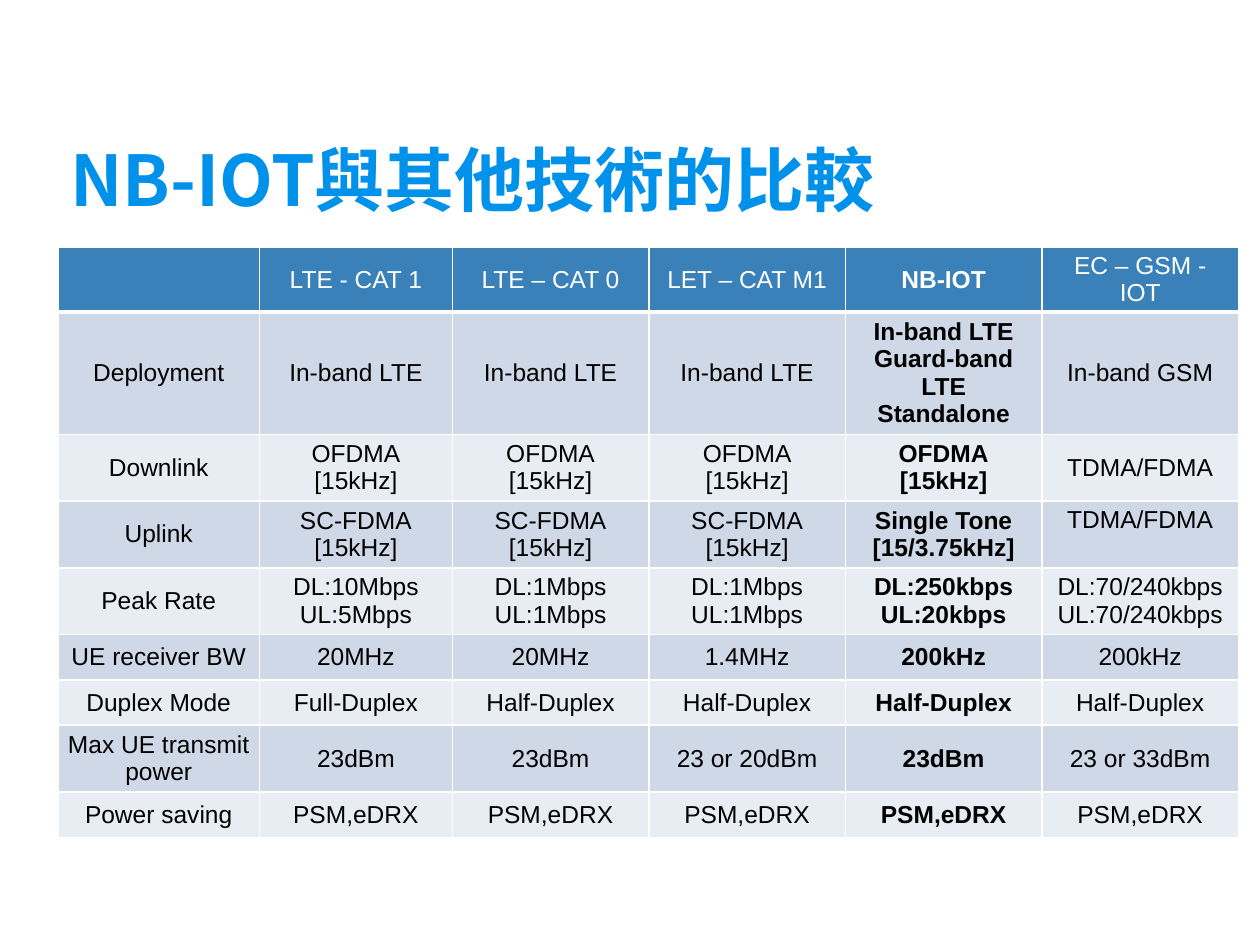
from lxml import etree
from pptx import Presentation
from pptx.dml.color import RGBColor
from pptx.enum.text import MSO_ANCHOR, MSO_AUTO_SIZE, PP_ALIGN
from pptx.oxml.ns import qn
from pptx.util import Inches, Pt

LEFT, CENTER = PP_ALIGN.LEFT, PP_ALIGN.CENTER
TOP, MIDDLE, BOTTOM = MSO_ANCHOR.TOP, MSO_ANCHOR.MIDDLE, MSO_ANCHOR.BOTTOM
NO_FIT = MSO_AUTO_SIZE.NONE

WHITE = RGBColor(0xFF, 0xFF, 0xFF)
BLACK = RGBColor(0x00, 0x00, 0x00)
TITLE_BLUE = RGBColor(0x00, 0x91, 0xEA)
HEADER_BLUE = RGBColor(0x3A, 0x81, 0xBA)
BANDS = (RGBColor(0xE8, 0xED, 0xF3), RGBColor(0xCE, 0xD8, 0xE7))

TITLE_FONT = "Noto Sans CJK SC"
TABLE_FONT = "Arial"
COL_WIDTHS = (1.6, 1.53, 1.56, 1.56, 1.56, 1.56)
ROW_HEIGHTS = (0.36, 0.97, 0.53, 0.53, 0.53, 0.36, 0.36, 0.53, 0.36)
NB_IOT_COL = 4
TOP_CELL = (3, 5)

ROWS = (
    ("", "LTE - CAT 1", "LTE – CAT 0", "LET – CAT M1", "NB-IOT", "EC – GSM - IOT"),
    ("Deployment", "In-band LTE", "In-band LTE", "In-band LTE",
     "In-band LTE\nGuard-band LTE\nStandalone", "In-band GSM"),
    ("Downlink", "OFDMA\n[15kHz]", "OFDMA\n[15kHz]", "OFDMA\n[15kHz]",
     "OFDMA\n[15kHz]", "TDMA/FDMA"),
    ("Uplink", "SC-FDMA\n[15kHz]", "SC-FDMA\n[15kHz]", "SC-FDMA\n[15kHz]",
     "Single Tone\n[15/3.75kHz]", "TDMA/FDMA"),
    ("Peak Rate", "DL:10Mbps\nUL:5Mbps", "DL:1Mbps\nUL:1Mbps", "DL:1Mbps\nUL:1Mbps",
     "DL:250kbps\nUL:20kbps", "DL:70/240kbps\nUL:70/240kbps"),
    ("UE receiver BW", "20MHz", "20MHz", "1.4MHz", "200kHz", "200kHz"),
    ("Duplex Mode", "Full-Duplex", "Half-Duplex", "Half-Duplex", "Half-Duplex",
     "Half-Duplex"),
    ("Max UE transmit power", "23dBm", "23dBm", "23 or 20dBm", "23dBm", "23 or 33dBm"),
    ("Power saving",) + ("PSM,eDRX",) * 5,
)


def add_run(p, text, font, size, color, bold):
    """Append one formatted run to a paragraph."""
    r = p.add_run()
    r.text = text
    r.font.name = font
    r.font.size = Pt(size)
    r.font.color.rgb = color
    r.font.bold = bold
    return r


def set_borders(cell, bottom_width):
    """Give a cell white borders, 1 pt except for the bottom one."""
    tcPr = cell._tc.get_or_add_tcPr()
    for i, side in enumerate("LRTB"):
        width = bottom_width if side == "B" else 1
        ln = etree.Element(qn(f"a:ln{side}"), w=str(Pt(width)))
        fill = etree.SubElement(ln, qn("a:solidFill"))
        etree.SubElement(fill, qn("a:srgbClr"), val=str(WHITE))
        tcPr.insert(i, ln)


def add_title(s, left, top, width, height):
    """Place the slide title in its placeholder."""
    sp = s.shapes.title
    sp.left, sp.top, sp.width, sp.height = left, top, width, height
    tf = sp.text_frame
    tf.word_wrap = True
    tf.auto_size = NO_FIT
    tf.vertical_anchor = BOTTOM
    tf.margin_left = tf.margin_right = tf.margin_top = tf.margin_bottom = Inches(0.1)
    p = tf.paragraphs[0]
    p.alignment = LEFT
    r = add_run(p, "NB-IOT與其他技術的比較", TITLE_FONT, 40, TITLE_BLUE, True)
    etree.SubElement(r.font._element, qn("a:ea"), typeface=TITLE_FONT)


def fill_cell(cell, row, col, text):
    """Write and format one cell of the comparison table."""
    header = row == 0
    cell.fill.solid()
    cell.fill.fore_color.rgb = HEADER_BLUE if header else BANDS[row % 2]
    set_borders(cell, 3 if header else 1)
    cell.vertical_anchor = TOP if (row, col) == TOP_CELL else MIDDLE
    cell.margin_left = cell.margin_right = Inches(0.07)
    cell.margin_top = cell.margin_bottom = Inches(0.04)
    if not text:
        return
    tf = cell.text_frame
    for i, line in enumerate(text.split("\n")):
        p = tf.add_paragraph() if i else tf.paragraphs[0]
        p.alignment = CENTER
        add_run(p, line, TABLE_FONT, 14, WHITE if header else BLACK, col == NB_IOT_COL)


def add_comparison(s, left, top, width, height):
    """Place the table comparing the radio technologies."""
    table = s.shapes.add_table(len(ROWS), len(COL_WIDTHS), left, top, width, height).table
    for column, w in zip(table.columns, COL_WIDTHS):
        column.width = Inches(w)
    for i, (h, texts) in enumerate(zip(ROW_HEIGHTS, ROWS)):
        table.rows[i].height = Inches(h)
        for j, text in enumerate(texts):
            fill_cell(table.cell(i, j), i, j, text)


def main():
    """Build the slide and save it."""
    prs = Presentation()
    prs.slide_width, prs.slide_height = Inches(10), Inches(7.5)
    s = prs.slides.add_slide(prs.slide_layouts[5])
    add_title(s, Inches(0.46), Inches(0.76), Inches(8.62), Inches(1.09))
    add_comparison(s, Inches(0.46), Inches(1.96),
                   Inches(sum(COL_WIDTHS)), Inches(sum(ROW_HEIGHTS)))
    prs.save("out.pptx")


if __name__ == "__main__":
    main()
